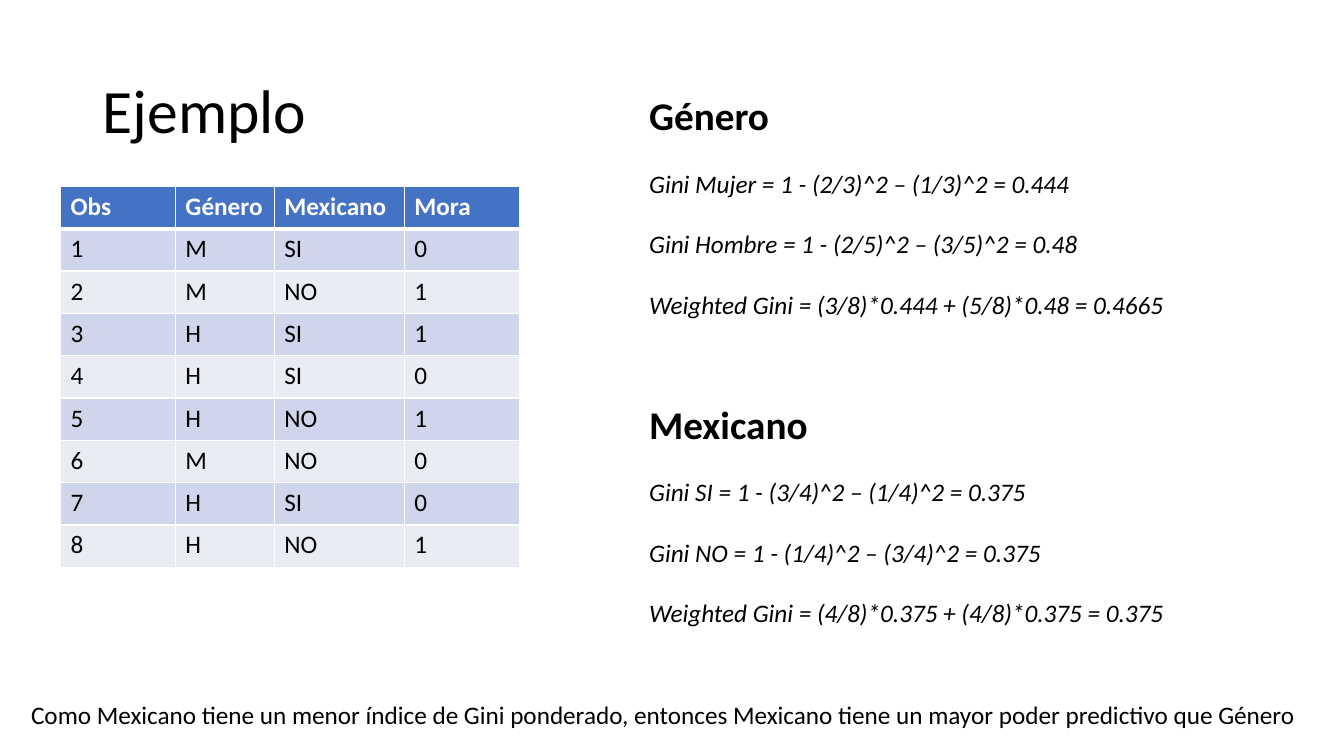
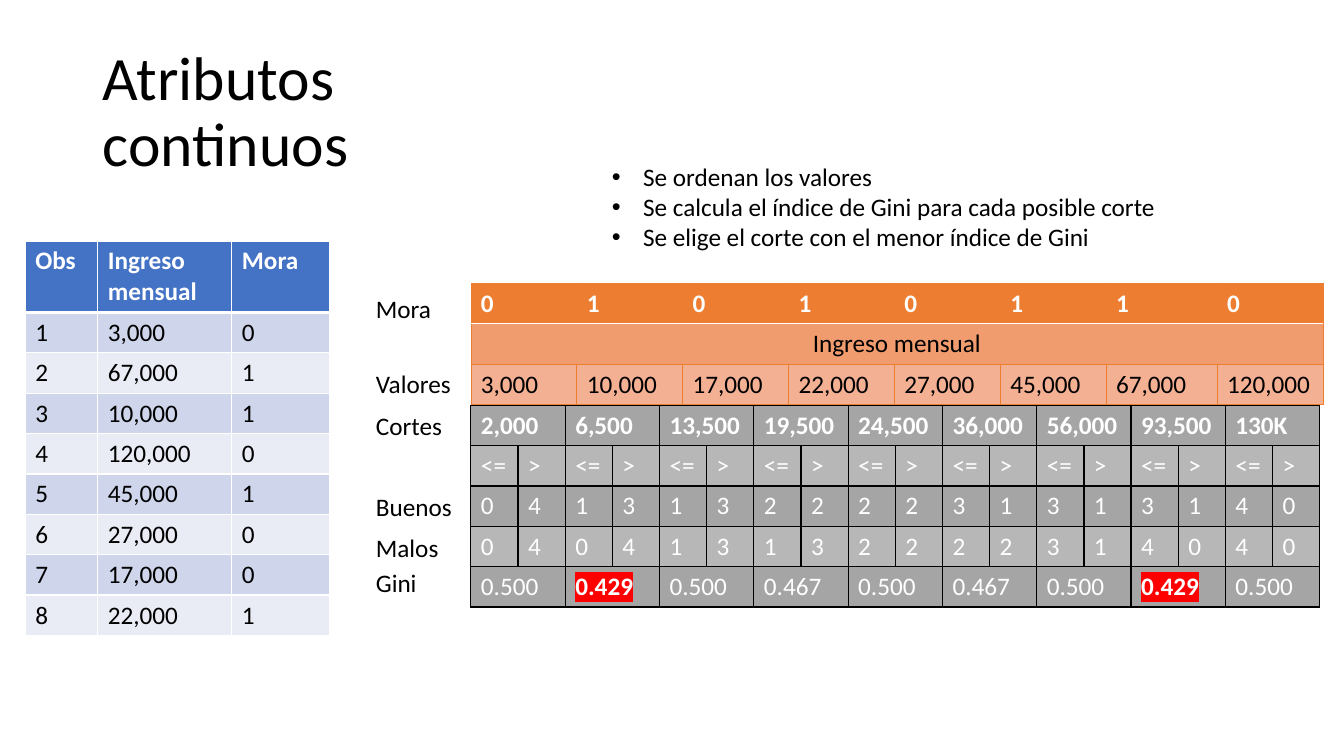
from dataclasses import dataclass

from lxml import etree
from pptx import Presentation
from pptx import util as u
from pptx.dml.color import RGBColor
from pptx.enum import text
from pptx.oxml import ns

FONT = "Calibri"
BODY_SIZE = 18
BLACK = RGBColor(0x00, 0x00, 0x00)
WHITE = RGBColor(0xFF, 0xFF, 0xFF)
RED = RGBColor(0xFF, 0x00, 0x00)
BLUE = RGBColor(0x44, 0x72, 0xC4)
BLUE_BAND = RGBColor(0xCF, 0xD5, 0xEA)
BLUE_PALE = RGBColor(0xE9, 0xEB, 0xF5)
ORANGE = RGBColor(0xED, 0x7D, 0x31)
ORANGE_BAND = RGBColor(0xF1, 0x9C, 0x6E)
ORANGE_PALE = RGBColor(0xF4, 0xB0, 0x93)
GRAY = RGBColor(0xA5, 0xA5, 0xA5)
GRAY_BAND = RGBColor(0xB7, 0xB7, 0xB7)


@dataclass
class TableStyle:
    """Colours and rules of one kind of table."""
    header: RGBColor
    bands: tuple
    body_text: RGBColor
    line: tuple
    header_line: tuple
    header_sides: tuple


BLUE_STYLE = TableStyle(BLUE, (BLUE_BAND, BLUE_PALE), BLACK,
                        (WHITE, 1), (WHITE, 3), (WHITE, 1))
ORANGE_STYLE = TableStyle(ORANGE, (ORANGE_BAND, ORANGE_PALE), BLACK,
                          (ORANGE, 0.5), (WHITE, 1), (ORANGE, 0.5))
GRAY_STYLE = TableStyle(GRAY, (GRAY_BAND, GRAY), WHITE,
                        (BLACK, 1), (BLACK, 1), (BLACK, 1))


def add_color_fill(parent, color):
    """Append a solid fill to an XML element."""
    fill = etree.SubElement(parent, ns.qn("a:solidFill"))
    etree.SubElement(fill, ns.qn("a:srgbClr")).set("val", str(color))


def format_paragraph(paragraph, size=BODY_SIZE, color=BLACK, bold=False, italic=False):
    """Give every run of a paragraph the deck font."""
    for run in paragraph.runs:
        font = run.font
        font.name, font.size = FONT, u.Pt(size)
        font.bold, font.italic = bold, italic
        font.color.rgb = color


def add_bullet(paragraph, indent):
    """Put a hanging bullet before a paragraph."""
    properties = paragraph._p.get_or_add_pPr()
    properties.set("marL", str(indent))
    properties.set("indent", str(-indent))
    etree.SubElement(properties, ns.qn("a:buFont")).set("typeface", "Arial")
    etree.SubElement(properties, ns.qn("a:buChar")).set("char", "•")


def add_text(slide, left, top, width, height, lines, gap=0, bullets=False, **style):
    """Add a text box with one paragraph for each line."""
    box = slide.shapes.add_textbox(u.Inches(left), u.Inches(top),
                                   u.Inches(width), u.Inches(height))
    frame = box.text_frame
    frame.word_wrap = True
    frame.text = "\n".join(lines)
    for index, paragraph in enumerate(frame.paragraphs):
        format_paragraph(paragraph, **style)
        if index:
            paragraph.space_before = u.Pt(gap)
        if bullets:
            add_bullet(paragraph, u.Inches(0.31))
    return frame


def add_title(slide, title, width):
    """Add the slide title."""
    frame = add_text(slide, 0.92, 0.4, width, 1.45, [title], size=44)
    frame.vertical_anchor = text.MSO_ANCHOR.MIDDLE
    frame.paragraphs[0].line_spacing = 0.9


def set_borders(cell, sides, top, bottom):
    """Draw the four borders of a cell from (colour, points) pairs."""
    properties = cell._tc.get_or_add_tcPr()
    edges = {"a:lnL": sides, "a:lnR": sides, "a:lnT": top, "a:lnB": bottom}
    for position, (tag, (color, width)) in enumerate(edges.items()):
        line = etree.Element(ns.qn(tag), w=str(u.Pt(width)))
        add_color_fill(line, color)
        properties.insert(position, line)


def highlight_run(run, color):
    """Mark a run with a background colour."""
    highlight = etree.Element(ns.qn("a:highlight"))
    etree.SubElement(highlight, ns.qn("a:srgbClr")).set("val", str(color))
    run._r.rPr.find(ns.qn("a:solidFill")).addnext(highlight)


def style_cell(cell, row, style, last_row):
    """Fill a cell and draw its borders according to its row."""
    cell.fill.solid()
    cell.fill.fore_color.rgb = style.bands[(row - 1) % 2] if row else style.header
    set_borders(cell,
                style.line if row else style.header_sides,
                style.header_line if row == 1 else style.line,
                style.line if row else style.header_line)


def add_grid(slide, left, top, widths, heights, rows, style, marked=()):
    """Add a table; a row with fewer texts than columns gets equal merged cells."""
    frame = slide.shapes.add_table(len(rows), len(widths), u.Inches(left), u.Inches(top),
                                   u.Inches(sum(widths)), u.Inches(sum(heights)))
    table = frame.table
    table.first_row = table.horz_banding = False
    for column, width in zip(table.columns, widths):
        column.width = u.Inches(width)
    for table_row, height in zip(table.rows, heights):
        table_row.height = u.Inches(height)
    for row, values in enumerate(rows):
        span = len(widths) // len(values)
        for column in range(len(widths)):
            style_cell(table.cell(row, column), row, style, len(rows) - 1)
        for index, value in enumerate(values):
            column = index * span
            cell = table.cell(row, column)
            if span > 1:
                cell.merge(table.cell(row, column + span - 1))
            cell.text_frame.text = value
            paragraph = cell.text_frame.paragraphs[0]
            format_paragraph(paragraph, color=style.body_text if row else WHITE,
                             bold=row == 0 or value in marked)
            if len(values) == 1:
                paragraph.alignment = text.PP_ALIGN.CENTER
            if value in marked:
                highlight_run(paragraph.runs[0], RED)


def add_gini_block(slide, top, heading, formulas):
    """Add a heading with its Gini formulas below."""
    add_text(slide, 6.34, top, 3, 0.57, [heading], size=28, bold=True)
    add_text(slide, 6.34, top + 0.76, 5.6, 1.92, formulas, gap=21.5, italic=True)


def build_example(slide):
    """Compare the Gini index of two categorical attributes."""
    add_title(slide, "Ejemplo", 2.96)
    genders, mexican, default = "MMHHHMHH", "SI NO SI SI NO NO SI NO".split(), "01101001"
    rows = [("Obs", "Género", "Mexicano", "Mora")]
    rows += [(str(number), *values)
             for number, values in enumerate(zip(genders, mexican, default), 1)]
    add_grid(slide, 0.6, 1.85, [1.14, 0.98, 1.29, 1.14], [0.42] * 9, rows, BLUE_STYLE)
    add_gini_block(slide, 0.86, "Género", [
        "Gini Mujer = 1 - (2/3)^2 – (1/3)^2 = 0.444",
        "Gini Hombre = 1 - (2/5)^2 – (3/5)^2 = 0.48",
        "Weighted Gini = (3/8)*0.444 + (5/8)*0.48 = 0.4665"])
    add_gini_block(slide, 3.92, "Mexicano", [
        "Gini SI = 1 - (3/4)^2 – (1/4)^2 = 0.375",
        "Gini NO = 1 - (1/4)^2 – (3/4)^2 = 0.375",
        "Weighted Gini = (4/8)*0.375 + (4/8)*0.375 = 0.375"])
    add_text(slide, 0.21, 6.89, 12.91, 0.4, [
        "Como Mexicano tiene un menor índice de Gini ponderado, "
        "entonces Mexicano tiene un mayor poder predictivo que Género"])


def build_continuous(slide):
    """Show how cut points are chosen for a continuous attribute."""
    add_title(slide, "Atributos continuos", 5)
    incomes = "3,000 67,000 10,000 120,000 45,000 27,000 17,000 22,000".split()
    rows = [("Obs", "Ingreso mensual", "Mora")]
    rows += [(str(number), *values)
             for number, values in enumerate(zip(incomes, "01101001"), 1)]
    add_grid(slide, 0.25, 2.39, [0.72, 1.33, 0.97], [0.71] + [0.4] * 8, rows, BLUE_STYLE)
    add_text(slide, 5.97, 1.55, 5.66, 1.01, [
        "Se ordenan los valores",
        "Se calcula el índice de Gini para cada posible corte",
        "Se elige el corte con el menor índice de Gini"], bullets=True)

    sorted_incomes = sorted(incomes, key=lambda income: int(income.replace(",", "")))
    add_grid(slide, 4.67, 2.81, [1.05] * 6 + [1.1, 1.05], [0.4] * 3,
             ["01010110", ["Ingreso mensual"], sorted_incomes], ORANGE_STYLE)
    cuts = "2,000 6,500 13,500 19,500 24,500 36,000 56,000 93,500 130K".split()
    ginis = "0.500 0.429 0.500 0.467 0.500 0.467 0.500 0.429 0.500".split()
    add_grid(slide, 4.67, 4.02, [8.42 / 18] * 18, [0.4] * 5,
             [cuts, ["<=", ">"] * 9, "041313222231313140", "040413132222314040", ginis],
             GRAY_STYLE, marked=("0.429",))

    labels = {"Mora": 2.86, "Valores": 3.61, "Cortes": 4.02,
              "Buenos": 4.83, "Malos": 5.23, "Gini": 5.58}
    for label, top in labels.items():
        add_text(slide, 3.63, top, 1, 0.4, [label])


def main():
    """Build and save the presentation."""
    presentation = Presentation()
    presentation.slide_width = u.Inches(13.33)
    presentation.slide_height = u.Inches(7.5)
    for build in (build_example, build_continuous):
        build(presentation.slides.add_slide(presentation.slide_layouts[6]))
    presentation.save("out.pptx")


main()
